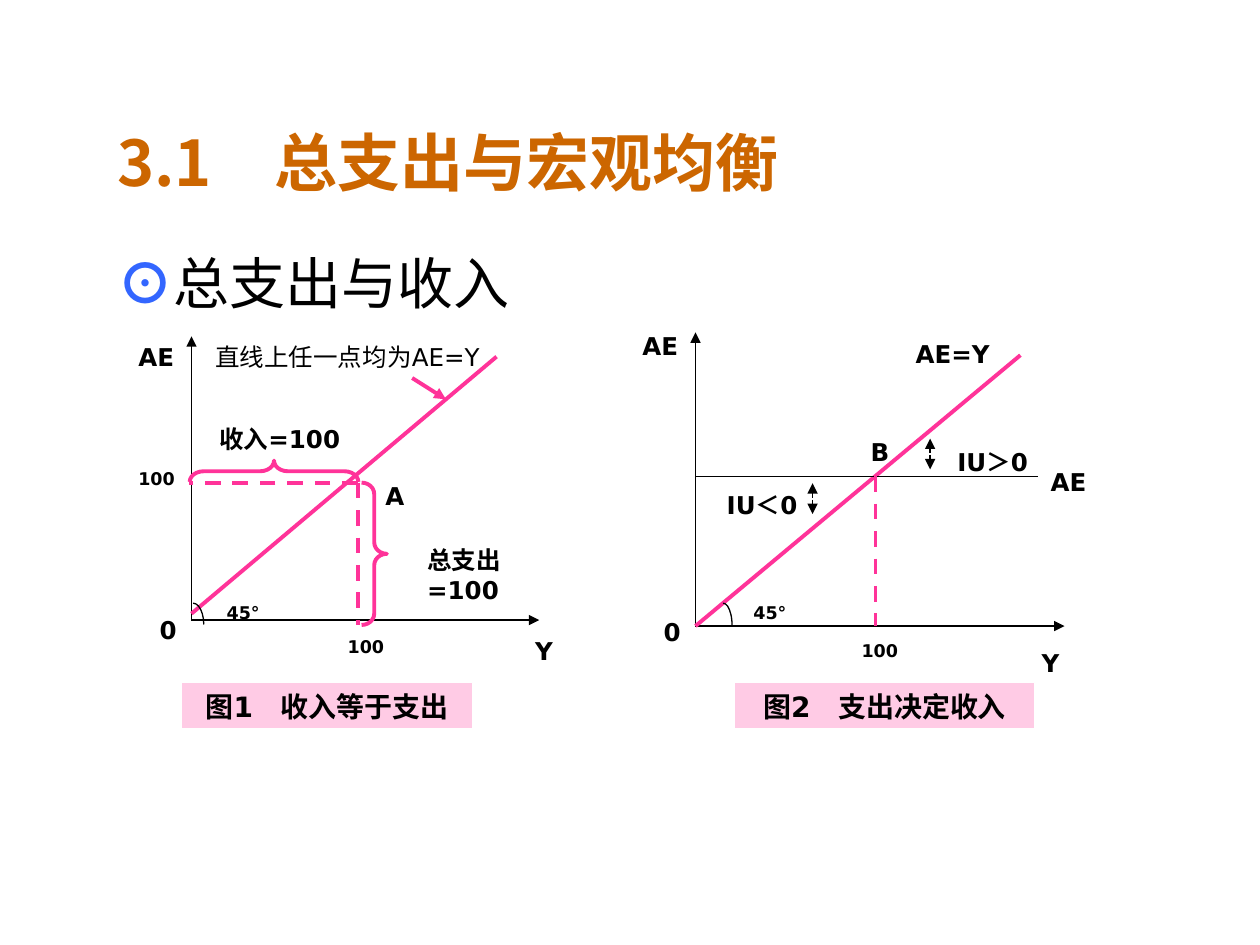
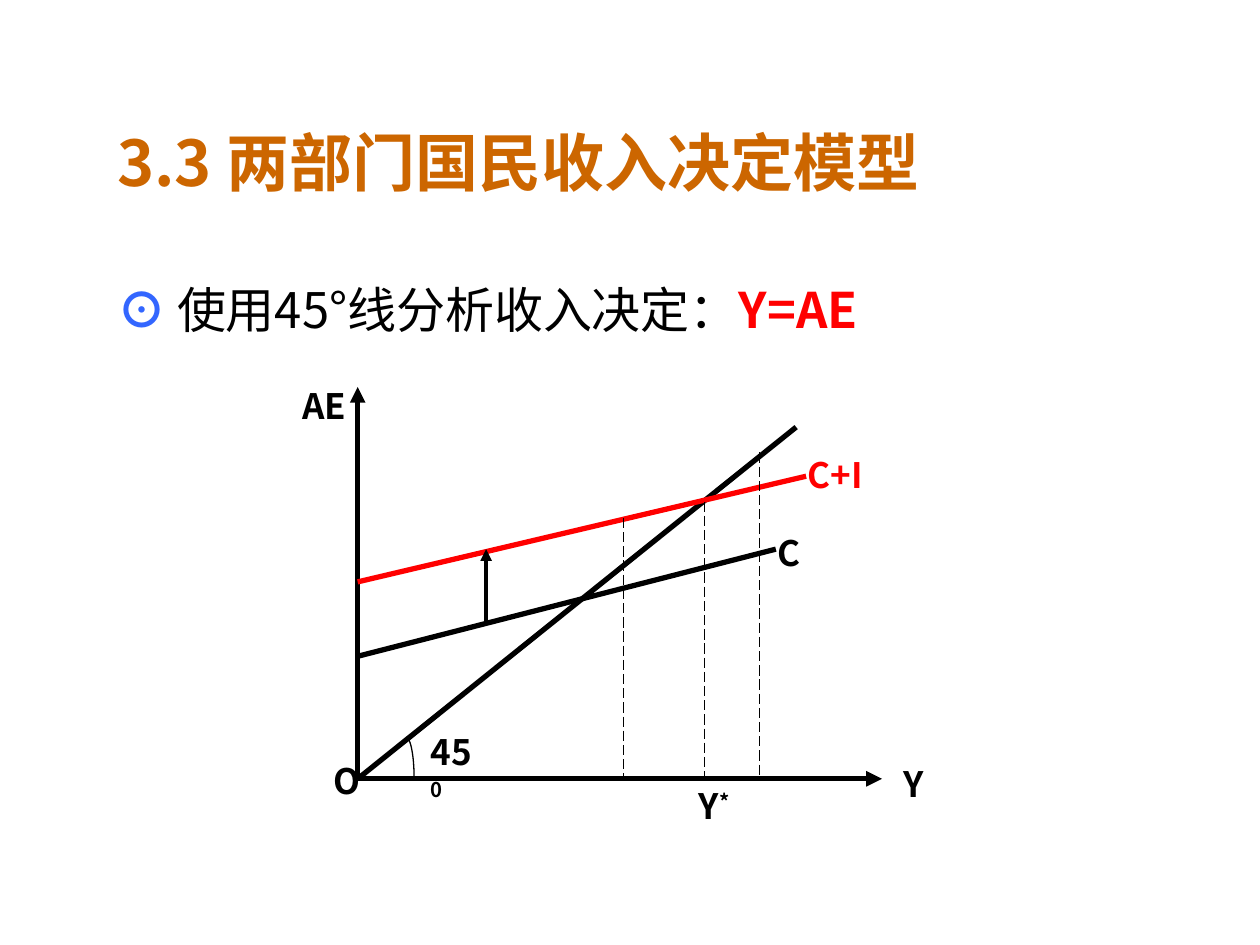
from lxml.etree import SubElement
from pptx import Presentation
from pptx.dml.color import RGBColor
from pptx.enum.dml import MSO_LINE_DASH_STYLE as Dash
from pptx.enum.shapes import MSO_CONNECTOR as Connector, MSO_SHAPE as Shape
from pptx.enum.text import MSO_ANCHOR as Anchor, PP_ALIGN as Align
from pptx.oxml.ns import qn
from pptx.util import Cm, Pt

BLACK = RGBColor(0x00, 0x00, 0x00)
WHITE = RGBColor(0xFF, 0xFF, 0xFF)
ORANGE = RGBColor(0xCC, 0x66, 0x00)
BLUE = RGBColor(0x33, 0x66, 0xFF)
RED = RGBColor(0xFF, 0x00, 0x00)
PINK = RGBColor(0xFF, 0x33, 0x99)
PALE_PINK = RGBColor(0xFF, 0x99, 0xCC)

SANS = "DejaVu Sans"
HAN = "Noto Sans CJK SC"
LABEL_HEIGHTS = {10: 0.69, 14: 0.86, 20: 1.12}


def style_paragraph(paragraph, size, face, color=None, bold=None):
    font = paragraph.font
    font.size, font.name, font.bold = Pt(size), face, bold
    if color is not None:
        font.color.rgb = color
    SubElement(font._element, qn("a:ea")).set("typeface", HAN)


class Panel:
    def __init__(self, slide, left, top, face=SANS, size=14):
        self.shapes = slide.shapes
        self.left, self.top = left, top
        self.face, self.size = face, size

    def place(self, x, y):
        return Cm(self.left + x), Cm(self.top + y)

    def text(self, words, x, y, width, size=None, height=None,
             color=BLACK, bold=True, superscript=None):
        size = size or self.size
        box = self.shapes.add_textbox(
            *self.place(x, y), Cm(width), Cm(height or LABEL_HEIGHTS[size]))
        box.text_frame.word_wrap = True
        paragraph = box.text_frame.paragraphs[0]
        paragraph.add_run().text = words
        if superscript:
            raised = paragraph.add_run()
            raised.text = superscript
            raised.font._element.set("baseline", "30000")
        style_paragraph(paragraph, size, self.face, color, bold)
        return box

    def line(self, start, end, color=BLACK, weight=0.75, dash=None, arrow=False):
        connector = self.shapes.add_connector(
            Connector.STRAIGHT, *self.place(*start), *self.place(*end))
        connector.line.color.rgb = color
        connector.line.width = Pt(weight)
        if dash:
            connector.line.dash_style = dash
        if arrow:
            SubElement(connector.line._get_or_add_ln(), qn("a:tailEnd")).set("type", "triangle")
        SubElement(connector._element.spPr, qn("a:effectLst"))

    def outline(self, kind, x, y, width, height, color=BLACK, weight=0.75):
        curve = self.shapes.add_shape(kind, *self.place(x, y), Cm(width), Cm(height))
        curve.shadow.inherit = False
        curve.fill.background()
        curve.line.color.rgb = color
        curve.line.width = Pt(weight)
        return curve

    def brace(self, x, y, width, height, bend, rotation=0):
        brace = self.outline(Shape.RIGHT_BRACE, x, y, width, height, PINK, 2.25)
        brace.adjustments[0] = bend
        brace.rotation = rotation

    def axes(self, origin, right, top, weight=0.75):
        x, y = origin
        self.line(origin, (right, y), weight=weight, arrow=True)
        self.line(origin, (x, top), weight=weight, arrow=True)

    def caption(self, words, x, y, width):
        band = self.outline(Shape.RECTANGLE, x, y, width, 0.94, WHITE)
        band.fill.solid()
        band.fill.fore_color.rgb = PALE_PINK
        tint = band._element.spPr.find(qn("a:solidFill"))[0]
        SubElement(tint, qn("a:alpha")).set("val", "50000")
        band.text_frame.vertical_anchor = Anchor.MIDDLE
        paragraph = band.text_frame.paragraphs[0]
        paragraph.text = words
        paragraph.alignment = Align.CENTER
        style_paragraph(paragraph, 16, self.face, BLACK, True)


def add_heading(slide, title, point, point_top, point_size):
    page = Panel(slide, 2.11, 0, HAN)
    heading = page.text(title, 0, 2.34, 21.59, 36, 1.83, ORANGE)
    heading.text_frame.vertical_anchor = Anchor.MIDDLE
    body = slide.shapes.add_textbox(*page.place(0, point_top), Cm(21.59), Cm(1.8))
    body.text_frame.word_wrap = True
    paragraph = body.text_frame.paragraphs[0]
    for words, color, bold in point:
        run = paragraph.add_run()
        run.text = words
        run.font.color.rgb = color
        run.font.bold = bold
    style_paragraph(paragraph, point_size, HAN)


def draw_income_equals_spending(slide, left, top):
    figure = Panel(slide, left, top)
    origin = (1.32, 5.72)
    point_a = (4.67, 2.95)
    figure.axes(origin, 8.33, 0)
    figure.line((1.32, 5.59), (7.47, 0.41), PINK, 2.25)
    for foot in ((1.27, 2.95), (4.67, 5.82)):
        figure.line(point_a, foot, PINK, 2.25, Dash.DASH)
    figure.line((5.77, 0.84), (6.45, 1.27), PINK, 2.25, arrow=True)
    figure.brace(4.75, 2.95, 0.51, 2.87, 0.45)
    figure.brace(2.77, 1.02, 0.43, 3.4, 0.65, 270)
    figure.outline(Shape.ARC, 1.14, 5.38, 0.43, 0.86)
    for words, x, y, width in (
            ("AE", 0, 0, 1.32), ("Y", 8, 5.92, 0.69), ("0", 0.43, 5.49, 0.69),
            ("A", 4.98, 2.79, 0.69), ("收入=100", 1.63, 1.65, 3.15)):
        figure.text(words, x, y, width)
    for words, x, y, width in (
            ("100", 0, 2.54, 1.55), ("100", 4.22, 5.92, 1.75), ("45°", 1.78, 5.23, 1.37)):
        figure.text(words, x, y, width, 10)
    figure.text("直线上任一点均为AE=Y", 1.55, 0, 6.5, bold=False)
    figure.text("总支出=100", 5.82, 4.09, 2.57, height=1.45)
    figure.caption("图1　收入等于支出", 1.12, 6.98, 5.87)


def draw_spending_sets_income(slide, left, top):
    figure = Panel(slide, left, top)
    origin = (1.32, 6.07)
    point_b = (4.95, 3.05)
    figure.axes(origin, 8.76, 0.15)
    figure.line(origin, (7.87, 0.61), PINK, 2.25)
    figure.line((1.32, 3.05), (8.23, 3.05))
    figure.line(point_b, (4.95, 6.07), PINK, 2.25, Dash.DASH)
    for x, middle in ((6.05, 2.6), (3.68, 3.5)):
        for direction in (-1, 1):
            figure.line((x, middle + direction * 0.02), (x, middle + direction * 0.31), arrow=True)
    figure.outline(Shape.ARC, 1.7, 5.61, 0.36, 0.91)
    for words, x, y, width in (
            ("AE", 0, 0, 1.27), ("AE", 8.23, 2.74, 1.3), ("0", 0.43, 5.77, 0.74),
            ("Y", 8.05, 6.38, 0.74), ("B", 4.6, 2.13, 0.74), ("IU＞0", 6.35, 2.34, 2.29),
            ("IU＜0", 1.7, 3.2, 2.54), ("AE=Y", 5.51, 0.15, 2.74)):
        figure.text(words, x, y, width)
    for words, x, y, width in (("100", 4.42, 6.22, 1.52), ("45°", 2.24, 5.46, 1.45)):
        figure.text(words, x, y, width, 10)
    figure.caption("图2　支出决定收入", 2.11, 7.21, 6.05)


def draw_two_sector_model(slide, left, top):
    figure = Panel(slide, left, top, HAN, 20)
    origin_x, base = origin = (1.37, 8.08)
    figure.axes(origin, 11.94, 0.18, 3)
    figure.line(origin, (10.21, 0.99), weight=3)
    figure.line((origin_x, 5.61), (9.8, 3.45), weight=3)
    figure.line((origin_x, 4.11), (10.41, 1.98), RED, 3)
    figure.line((3.96, 4.95), (3.96, 3.45), weight=2.25, arrow=True)
    for income, height in ((6.73, 2.82), (8.36, 2.49), (9.47, 1.5)):
        figure.line((income, height), (income, base), dash=Dash.LONG_DASH)
    figure.outline(Shape.ARC, 2.18, 7.24, 0.33, 1.65)
    for words, x, y, width in (
            ("AE", 0, 0, 1.4), ("O", 0.64, 7.57, 1.07),
            ("Y", 12.12, 7.62, 0.94), ("C", 9.58, 2.97, 0.94)):
        figure.text(words, x, y, width)
    figure.text("C+I", 10.19, 1.4, 1.63, color=RED)
    figure.text("45", 2.59, 6.99, 1.55, superscript="0")
    figure.text("Y", 8, 8.08, 1.17, superscript="*")


def main():
    deck = Presentation()
    deck.slide_width, deck.slide_height = Cm(25.4), Cm(19.05)
    blank = deck.slide_layouts[6]

    spending = deck.slides.add_slide(blank)
    add_heading(spending, "3.1　总支出与宏观均衡",
                [("⊙", BLUE, True), ("总支出与收入", BLACK, False)], 4.88, 32)
    draw_spending_sets_income(spending, 12.7, 6.55)
    draw_income_equals_spending(spending, 2.54, 6.78)

    model = deck.slides.add_slide(blank)
    add_heading(model, "3.3 两部门国民收入决定模型",
                [("⊙ ", BLUE, True), ("使用45°线分析收入决定：", BLACK, False),
                 ("Y=AE", RED, True)], 5.51, 28)
    draw_two_sector_model(model, 5.84, 7.62)

    deck.save("out.pptx")


if __name__ == "__main__":
    main()
